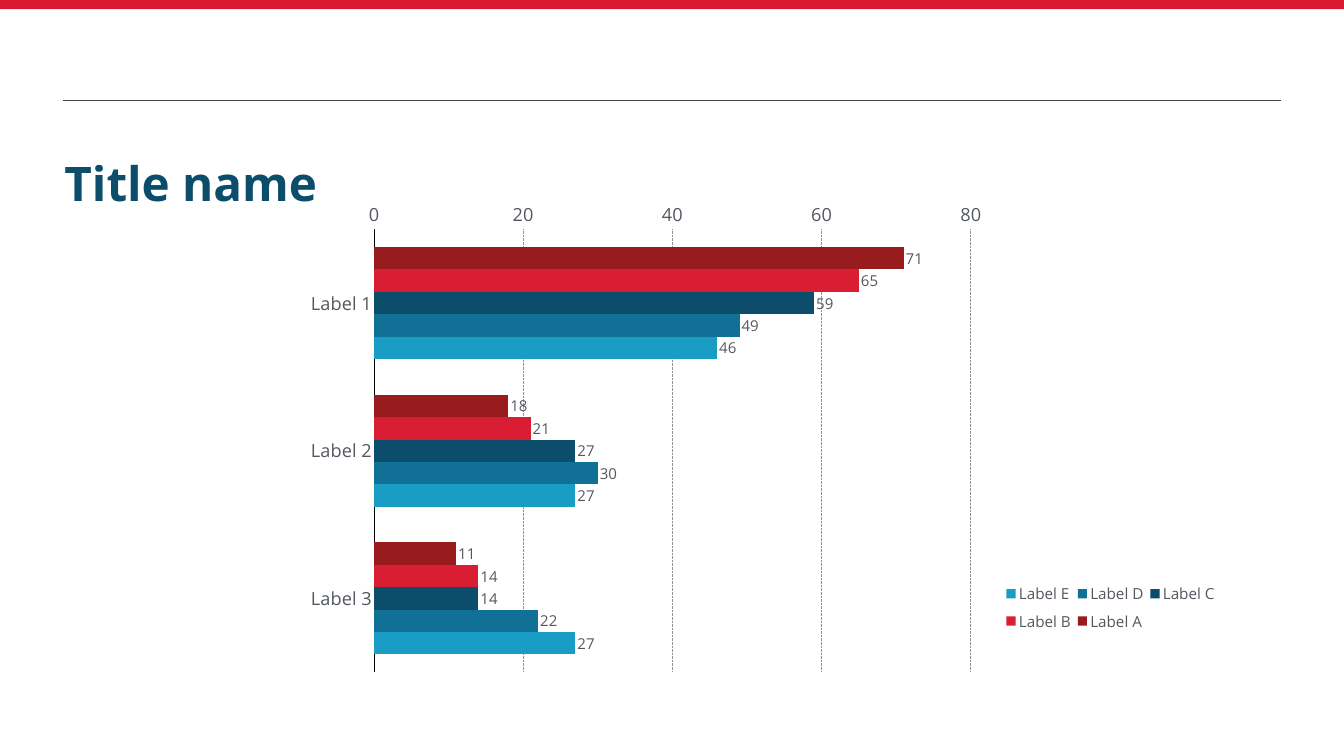
"""Build a slide with a titled, clustered bar chart."""
from lxml import etree
from pptx import Presentation
from pptx.chart.data import CategoryChartData
from pptx.dml.color import RGBColor
from pptx.enum.chart import (XL_AXIS_CROSSES, XL_CHART_TYPE, XL_LABEL_POSITION,
                             XL_LEGEND_POSITION, XL_TICK_MARK)
from pptx.enum.dml import MSO_LINE
from pptx.enum.shapes import MSO_CONNECTOR, MSO_SHAPE
from pptx.enum.text import MSO_ANCHOR, MSO_AUTO_SIZE, PP_ALIGN
from pptx.oxml.ns import qn
from pptx.util import Inches, Pt

RECT, LINE = MSO_SHAPE.RECTANGLE, MSO_CONNECTOR.STRAIGHT
BARS, OUT = XL_CHART_TYPE.BAR_CLUSTERED, XL_LABEL_POSITION.OUTSIDE_END
RIGHT, MAX = XL_LEGEND_POSITION.RIGHT, XL_AXIS_CROSSES.MAXIMUM
NONE, DOTS = XL_TICK_MARK.NONE, MSO_LINE.ROUND_DOT
LEFT, BOTTOM, FIXED = PP_ALIGN.LEFT, MSO_ANCHOR.BOTTOM, MSO_AUTO_SIZE.NONE

RED = RGBColor(0xDA, 0x1A, 0x32)
CRIMSON = RGBColor(0xD9, 0x1E, 0x33)
MAROON = RGBColor(0x98, 0x1B, 0x1E)
NAVY = RGBColor(0x0B, 0x4D, 0x6A)
TEAL = RGBColor(0x11, 0x70, 0x96)
SKY = RGBColor(0x19, 0x9D, 0xC5)
BROWN = RGBColor(0x4E, 0x45, 0x40)
SLATE = RGBColor(0x53, 0x58, 0x5F)
GREY = RGBColor(0x92, 0x92, 0x92)
BLACK = RGBColor(0, 0, 0)

FACE = "Open Sans"
WIDE, HIGH = Inches(26.67), Inches(15)
LABELS = ["Label 1", "Label 2", "Label 3"]
SERIES = [
    ("Label A", (71, 18, 11), MAROON),
    ("Label B", (65, 21, 14), CRIMSON),
    ("Label C", (59, 27, 14), NAVY),
    ("Label D", (49, 30, 22), TEAL),
    ("Label E", (46, 27, 27), SKY),
]


def box(x, y, w, h):
    """Turn percentages of the slide into a left, top, width, height."""
    return [int(side * share / 100)
            for side, share in zip((WIDE, HIGH, WIDE, HIGH), (x, y, w, h))]


def style(font, size, color=SLATE, bold=False):
    """Set the face, size, colour and weight of a font."""
    font.name, font.size, font.bold = FACE, Pt(size), bold
    font.color.rgb = color


def write(shape, text, size, color, bold=False, align=LEFT, anchor=BOTTOM):
    """Put formatted text into a shape."""
    frame = shape.text_frame
    frame.text = text
    frame.word_wrap, frame.auto_size = True, FIXED
    frame.vertical_anchor = anchor
    frame.margin_left = frame.margin_right = Inches(0.06)
    frame.margin_top = frame.margin_bottom = Inches(0.06)
    para = frame.paragraphs[0]
    para.alignment = align
    style(para.runs[0].font, size, color, bold)


def add_band(slide, place, color):
    """Draw a plain filled band."""
    band = slide.shapes.add_shape(RECT, *place)
    band.shadow.inherit = False
    band.fill.solid()
    band.fill.fore_color.rgb = color
    band.line.fill.background()


def add_rule(slide, place, color):
    """Draw a thin straight rule."""
    x, y, w, h = place
    rule = slide.shapes.add_connector(LINE, x, y, x + w, y + h)
    rule.line.color.rgb, rule.line.width = color, Pt(1)
    etree.SubElement(rule._element.spPr, qn("a:effectLst"))


def set_layout(part, index, x, y, w, h, inner=False):
    """Fix a chart part at the given shares of the chart."""
    for old in part.findall(qn("c:layout")):
        part.remove(old)
    layout = etree.Element(qn("c:layout"))
    manual = etree.SubElement(layout, qn("c:manualLayout"))
    items = [("layoutTarget", "inner")] if inner else []
    items += [("xMode", "edge"), ("yMode", "edge"),
              ("x", x), ("y", y), ("w", w), ("h", h)]
    for tag, value in items:
        etree.SubElement(manual, qn("c:" + tag)).set("val", str(value))
    part.insert(index, layout)


def style_axes(chart):
    """Format both axes and the dotted grid."""
    cats, vals = chart.category_axis, chart.value_axis
    for axis in (cats, vals):
        axis.major_tick_mark = axis.minor_tick_mark = NONE
        style(axis.tick_labels.font, 25.9)
    cats.reverse_order, cats.crosses = True, MAX
    cats.format.line.color.rgb = BLACK
    cats.format.line.width = Pt(1)
    vals.minimum_scale, vals.maximum_scale, vals.major_unit = 0, 80, 20
    vals.format.line.fill.background()
    vals.has_major_gridlines = True
    grid = vals.major_gridlines.format.line
    grid.color.rgb, grid.width, grid.dash_style = GREY, Pt(1), DOTS


def style_bars(plot):
    """Colour the bars and label their values."""
    plot.gap_width, plot.overlap, plot.vary_by_categories = 160, 0, False
    for bars, (_, _, color) in zip(plot.series, SERIES):
        bars.format.fill.solid()
        bars.format.fill.fore_color.rgb = color
        tags = bars.data_labels
        tags.show_value, tags.position = True, OUT
        tags.number_format, tags.number_format_is_linked = "0", False
        style(tags.font, 21.5)


def add_bars(slide, place):
    """Add the clustered bar chart with its legend."""
    data = CategoryChartData()
    data.categories = LABELS
    for name, values, _ in SERIES:
        data.add_series(name, values)
    chart = slide.shapes.add_chart(BARS, *place, data).chart
    chart.has_title = False
    style(chart.font, 10, BROWN)
    style_axes(chart)
    style_bars(chart.plots[0])
    chart.has_legend = True
    legend = chart.legend
    legend.position, legend.include_in_layout = RIGHT, True
    style(legend.font, 21.8)
    set_layout(legend._element, 1, 0.76, 0.73, 0.25, 0.12)
    set_layout(chart._chartSpace.chart.plotArea, 0,
               0.084, 0.049, 0.645, 0.868, inner=True)


def main():
    """Build and save the slide."""
    deck = Presentation()
    deck.slide_width, deck.slide_height = WIDE, HIGH
    slide = deck.slides.add_slide(deck.slide_layouts[5])
    add_band(slide, box(0, -0.27, 100, 1.47), RED)
    add_rule(slide, box(4.69, 13.33, 90.62, 0), BROWN)
    title = slide.shapes.title
    title.left, title.top, title.width, title.height = box(4.57, 18, 53.84, 10.33)
    write(title, "Title name", size=68, color=NAVY, bold=True)
    add_bars(slide, box(22.05, 26.8, 68.84, 67.73))
    deck.save("out.pptx")


if __name__ == "__main__":
    main()
